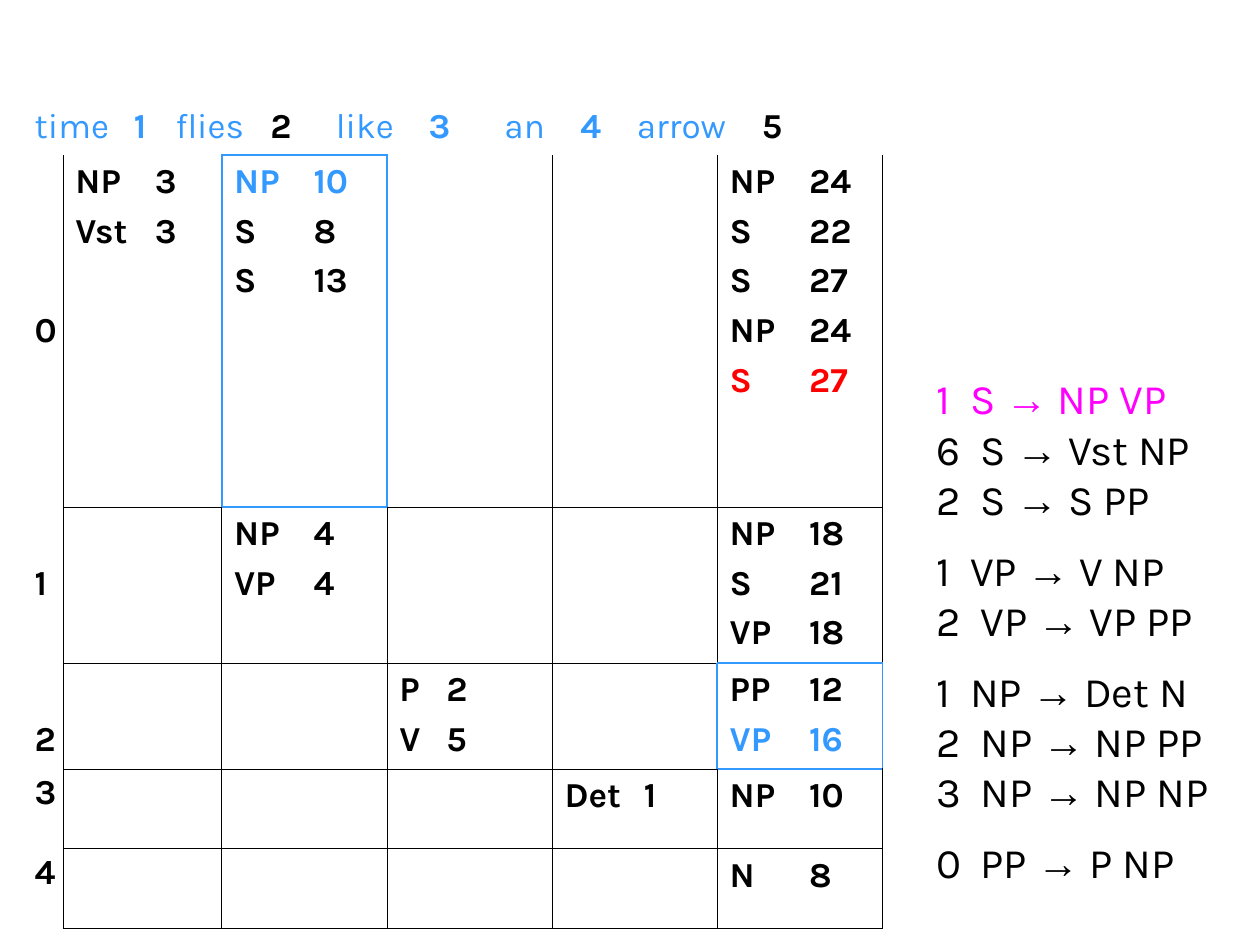
"""Build a slide with a weighted CKY parse chart and its grammar rules."""
from lxml import etree
from pptx import Presentation
from pptx.dml.color import RGBColor
from pptx.oxml.ns import qn
from pptx.util import Cm, Pt

BLACK = RGBColor(0x00, 0x00, 0x00)
BLUE = RGBColor(0x33, 0x99, 0xFF)
RED = RGBColor(0xFF, 0x00, 0x00)
MAGENTA = RGBColor(0xFF, 0x00, 0xFF)
TEXT_FONT = "Karla"
ARROW_FONT = "Arial"
THIN = Pt(0.45)
THICK = Pt(1.08)
INSET = Cm(0.25)
ENTRY_TAB = 1.6

COLUMN_WIDTHS = [0.82, 3.2, 3.33, 3.33, 3.33, 3.33]
ROW_HEIGHTS = [1.11, 7.1, 3.15, 2.13, 1.61, 1.61]
LABEL_MARGINS = [3.13, 1.13, 1.13, 0.07, 0.07]
HEADER_TABS = [2, 2.84, 4.75, 6.07, 7.94, 9.47, 11, 12.14, 14.66]
SENTENCE = ["time", "flies", "like", "an", "arrow"]
BLACK_POSITIONS = {2, 5}
LAST = 5
HIGHLIGHTED_CELLS = {(1, 2), (3, 5)}
ENTRIES = {
    (1, 1): ["NP\t3", "Vst\t3"],
    (1, 2): ["NP\t10", "S\t8", "S\t13"],
    (1, 5): ["NP\t24", "S\t22", "S\t27", "NP\t24", "S\t27"],
    (2, 2): ["NP\t4", "VP\t4"],
    (2, 5): ["NP\t18", "S\t21", "VP\t18"],
    (3, 3): ["P\t2", "V\t5"],
    (3, 5): ["PP\t12", "VP\t16"],
    (4, 4): ["Det\t1"],
    (4, 5): ["NP\t10"],
    (5, 5): ["N\t8"],
}
ENTRY_TABS = {(3, 3): 0.95}
ENTRY_COLOURS = {(1, 2, 0): BLUE, (1, 5, 4): RED, (3, 5, 1): BLUE}
RULE_GROUPS = [
    [("1", "S", "NP VP"), ("6", "S", "Vst NP"), ("2", "S", "S PP")],
    [("1", "VP", "V NP"), ("2", "VP", "VP PP")],
    [("1", "NP", "Det N"), ("2", "NP", "NP PP"), ("3", "NP", "NP NP")],
    [("0", "PP", "P NP")],
]


def add_run(paragraph, text, size, colour, bold=False, font=TEXT_FONT):
    """Add one formatted run to a paragraph."""
    run = paragraph.add_run()
    run.text = text
    run.font.size = Pt(size)
    run.font.name = font
    run.font.bold = bold
    run.font.color.rgb = colour


def set_tabs(paragraph, positions):
    """Set left tab stops, given in centimetres."""
    tab_list = etree.SubElement(paragraph._p.get_or_add_pPr(), qn("a:tabLst"))
    for position in positions:
        etree.SubElement(tab_list, qn("a:tab"), pos=str(Cm(position)), algn="l")


def next_paragraph(text_frame, index):
    """Return the first paragraph for index zero, otherwise a new one."""
    return text_frame.add_paragraph() if index else text_frame.paragraphs[0]


def set_border(cell, side, border):
    """Draw one cell side with a (colour, width) pair, or hide it."""
    properties = cell._tc.get_or_add_tcPr()
    line = etree.SubElement(properties, qn("a:ln" + side))
    if border is None:
        etree.SubElement(line, qn("a:noFill"))
        return
    colour, width = border
    line.set("w", str(width))
    fill = etree.SubElement(line, qn("a:solidFill"))
    etree.SubElement(fill, qn("a:srgbClr"), val=str(colour))


def find_border(row, column, side):
    """Choose the border of a chart cell side from its place in the grid."""
    row_step, column_step = {"L": (0, -1), "R": (0, 1), "T": (-1, 0), "B": (1, 0)}[side]
    neighbour = (row + row_step, column + column_step)
    if HIGHLIGHTED_CELLS & {(row, column), neighbour}:
        return BLUE, THICK
    if row == 0 or neighbour[0] == 0:
        return None
    if column == 0 and side != "R":
        return None
    outer = LAST < max(neighbour)
    return BLACK, THICK if outer else THIN


def format_cell(cell, row, column):
    """Clear the fill of a cell and set its insets and borders."""
    for side in "LRTB":
        set_border(cell, side, find_border(row, column, side))
    cell.fill.background()
    cell.margin_left = cell.margin_right = INSET
    cell.margin_top = cell.margin_bottom = Cm(0.13)


def fill_header(cell):
    """Write the sentence with its numbered word positions."""
    paragraph = cell.text_frame.paragraphs[0]
    set_tabs(paragraph, HEADER_TABS)
    for position, word in enumerate(SENTENCE, start=1):
        add_run(paragraph, word if position == 1 else "\t" + word, 20, BLUE)
        colour = BLACK if position in BLACK_POSITIONS else BLUE
        add_run(paragraph, f"\t{position}", 20, colour, bold=True)


def fill_label(cell, number, top_margin):
    """Write a row number at its height in the row."""
    cell.margin_top = Cm(top_margin)
    cell.margin_right = 0
    add_run(cell.text_frame.paragraphs[0], str(number), 20, BLACK, bold=True)


def fill_entries(cell, row, column):
    """Write the categories and weights of one chart cell."""
    for index, entry in enumerate(ENTRIES[row, column]):
        paragraph = next_paragraph(cell.text_frame, index)
        set_tabs(paragraph, [ENTRY_TABS.get((row, column), ENTRY_TAB)])
        if index:
            paragraph.space_before = Pt(5)
        colour = ENTRY_COLOURS.get((row, column, index), BLACK)
        add_run(paragraph, entry, 20, colour, bold=True)


def add_chart_table(slide):
    """Add the parse chart as a table."""
    shape = slide.shapes.add_table(
        len(ROW_HEIGHTS), len(COLUMN_WIDTHS), Cm(0.45), Cm(2.01),
        Cm(sum(COLUMN_WIDTHS)), Cm(sum(ROW_HEIGHTS)))
    table = shape.table
    table.first_row = table.horz_banding = False
    for column, width in zip(table.columns, COLUMN_WIDTHS):
        column.width = Cm(width)
    for row, height in zip(table.rows, ROW_HEIGHTS):
        row.height = Cm(height)
    for row in range(len(ROW_HEIGHTS)):
        for column in range(len(COLUMN_WIDTHS)):
            format_cell(table.cell(row, column), row, column)
    table.cell(0, 0).merge(table.cell(0, LAST))
    fill_header(table.cell(0, 0))
    for number, top_margin in enumerate(LABEL_MARGINS):
        fill_label(table.cell(number + 1, 0), number, top_margin)
    for row, column in ENTRIES:
        fill_entries(table.cell(row, column), row, column)


def add_rules(slide):
    """Add the list of weighted grammar rules."""
    text_box = slide.shapes.add_textbox(Cm(18.62), Cm(7.39), Cm(6.78), Cm(10.62))
    text_frame = text_box.text_frame
    text_frame.word_wrap = True
    index = 0
    for group in RULE_GROUPS:
        for place, (weight, left, right) in enumerate(group):
            paragraph = next_paragraph(text_frame, index)
            set_tabs(paragraph, [0.69 if weight == "1" else 0.9])
            if index and place == 0:
                paragraph.line_spacing = 1.4
            colour = BLACK if index else MAGENTA
            add_run(paragraph, f"{weight}\t{left} ", 24, colour)
            add_run(paragraph, "→", 24, colour, font=ARROW_FONT)
            add_run(paragraph, f" {right}", 24, colour)
            index += 1


def main():
    """Build and save the presentation."""
    presentation = Presentation()
    presentation.slide_width = Cm(25.4)
    presentation.slide_height = Cm(19.05)
    slide = presentation.slides.add_slide(presentation.slide_layouts[6])
    add_chart_table(slide)
    add_rules(slide)
    presentation.save("out.pptx")


if __name__ == "__main__":
    main()
